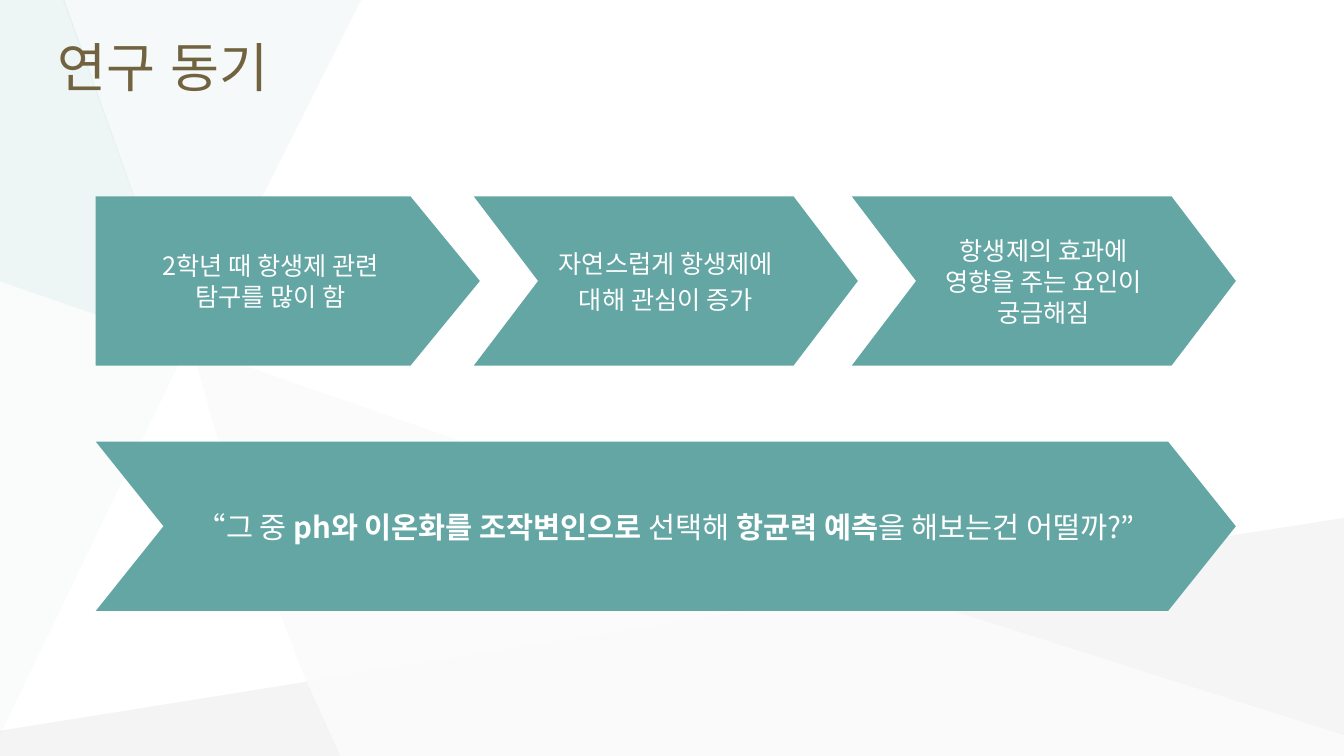
from dataclasses import dataclass

from lxml import etree
from pptx import Presentation
from pptx.dml import color
from pptx.enum import shapes, text
from pptx.oxml import ns
from pptx.shapes import autoshape
from pptx.slide import Slide
from pptx.text.text import TextFrame
from pptx.util import Pt


@dataclass(frozen=True)
class Theme:
    arrow: str = "63A6A4"
    heading: str = "716340"
    light: str = "FFFFFF"
    heading_font: str = "Arial"
    body_font: str = "Noto Sans CJK KR"
    heading_size: float = 38
    reason_size: float = 18
    question_size: float = 21


@dataclass(frozen=True)
class Facet:
    points: tuple[tuple[float, float], ...]
    fill: str
    opacity: int


@dataclass(frozen=True)
class Run:
    words: str
    bold: bool = False


@dataclass(frozen=True)
class Arrow:
    preset: shapes.MSO_SHAPE
    left: float
    top: float
    width: float
    point: float
    size: float
    lines: tuple[tuple[Run, ...], ...]
    space_before: float = 0


THEME = Theme()
SLIDE_WIDTH, SLIDE_HEIGHT = 960, 540
ARROW_LEFT, ARROW_STEP, ARROW_WIDTH, ARROW_HEIGHT = 68.4, 270, 274.4, 121
REASON_TOP, QUESTION_TOP = 140.2, 315.4
LINE_FACTOR = 22 / 18

HUB = (633, 421.2)
LEFT_JOINT = (134.4, 247)
LOW_JOINT = (219, 486.7)
EDGE_JOINT = (0, 201)
RIGHT_JOINT = (SLIDE_WIDTH, 525.4)

FACETS = (
    Facet(((136.8, 247.7), (160, 329), (190, 412), LOW_JOINT, HUB), "F3F2F2", 26),
    Facet((LOW_JOINT, (0, 522), (0, SLIDE_HEIGHT), (242.6, SLIDE_HEIGHT)), "B6B8BA", 15),
    Facet(((257.6, 0), (45, 0), LEFT_JOINT), "E0EDED", 31),
    Facet(((SLIDE_WIDTH, 370), HUB, RIGHT_JOINT), "C6C8CA", 17),
    Facet((HUB, LOW_JOINT, (242.6, SLIDE_HEIGHT), (SLIDE_WIDTH, SLIDE_HEIGHT),
           RIGHT_JOINT), "B6B8BA", 6),
    Facet(((46, 0), (0, 0), EDGE_JOINT, LEFT_JOINT), "C1DBDB", 27),
    Facet((EDGE_JOINT, (0, 525.4), LEFT_JOINT), "C1DBDB", 8),
)


def reason(column: int, *lines: str, space_before: float = 0) -> Arrow:
    first = column == 0
    return Arrow(
        shapes.MSO_SHAPE.PENTAGON if first else shapes.MSO_SHAPE.CHEVRON,
        ARROW_LEFT + column * ARROW_STEP, REASON_TOP, ARROW_WIDTH,
        0.41 if first else 0.38, THEME.reason_size,
        tuple((Run(line),) for line in lines), space_before,
    )


ARROWS = (
    reason(0, "2학년 때 항생제 관련", "탐구를 많이 함"),
    reason(1, "자연스럽게 항생제에", "대해 관심이 증가", space_before=3.6),
    reason(2, "항생제의 효과에", "영향을 주는 요인이", "궁금해짐"),
    Arrow(
        shapes.MSO_SHAPE.CHEVRON, ARROW_LEFT, QUESTION_TOP,
        2 * ARROW_STEP + ARROW_WIDTH, 0.4, THEME.question_size,
        ((Run("“그 중 "), Run("ph와 이온화를 조작변인으로", True), Run(" 선택해 "),
          Run("항균력 예측", True), Run("을 해보는건 어떨까?”")),),
    ),
)


def paint(shape: autoshape.Shape, fill: str) -> None:
    shape.shadow.inherit = False
    shape.fill.solid()
    shape.fill.fore_color.rgb = color.RGBColor.from_string(fill)
    shape.line.fill.background()


def write(frame: TextFrame, lines: tuple[tuple[Run, ...], ...], *, size: float,
          ink: str, font: str, align: text.PP_ALIGN,
          space_before: float = 0) -> None:
    frame.word_wrap = True
    frame.vertical_anchor = text.MSO_ANCHOR.MIDDLE
    for index, line in enumerate(lines):
        paragraph = frame.add_paragraph() if index else frame.paragraphs[0]
        paragraph.alignment = align
        paragraph.space_before = Pt(space_before)
        paragraph.line_spacing = Pt(round(size * LINE_FACTOR))
        for part in line:
            run = paragraph.add_run()
            run.text = part.words
            run.font.size = Pt(size)
            run.font.bold = part.bold
            run.font.name = font
            run.font.color.rgb = color.RGBColor.from_string(ink)
            east_asian = etree.SubElement(run.font._element, ns.qn("a:ea"))
            east_asian.set("typeface", font)


def draw_facet(slide: Slide, facet: Facet) -> None:
    outline = slide.shapes.build_freeform(*facet.points[0], scale=float(Pt(1)))
    outline.add_line_segments(facet.points[1:], close=True)
    pane = outline.convert_to_shape()
    paint(pane, facet.fill)
    tint = pane._element.spPr.find(".//" + ns.qn("a:srgbClr"))
    etree.SubElement(tint, ns.qn("a:alpha")).set("val", str(facet.opacity * 1000))


def draw_arrow(slide: Slide, arrow: Arrow) -> None:
    body = slide.shapes.add_shape(arrow.preset, Pt(arrow.left), Pt(arrow.top),
                                  Pt(arrow.width), Pt(ARROW_HEIGHT))
    body.adjustments[0] = arrow.point
    paint(body, THEME.arrow)
    body.text_frame.margin_left = body.text_frame.margin_right = 0
    write(body.text_frame, arrow.lines, size=arrow.size, ink=THEME.light,
          font=THEME.body_font, align=text.PP_ALIGN.CENTER,
          space_before=arrow.space_before)


def main() -> None:
    deck = Presentation()
    deck.slide_width, deck.slide_height = Pt(SLIDE_WIDTH), Pt(SLIDE_HEIGHT)
    slide = deck.slides.add_slide(deck.slide_layouts[6])
    for facet in FACETS:
        draw_facet(slide, facet)
    heading = slide.shapes.add_textbox(Pt(33.8), Pt(10), Pt(890), Pt(74))
    write(heading.text_frame, ((Run("연구 동기"),),), size=THEME.heading_size,
          ink=THEME.heading, font=THEME.heading_font, align=text.PP_ALIGN.LEFT)
    for arrow in ARROWS:
        draw_arrow(slide, arrow)
    deck.save("out.pptx")


if __name__ == "__main__":
    main()
